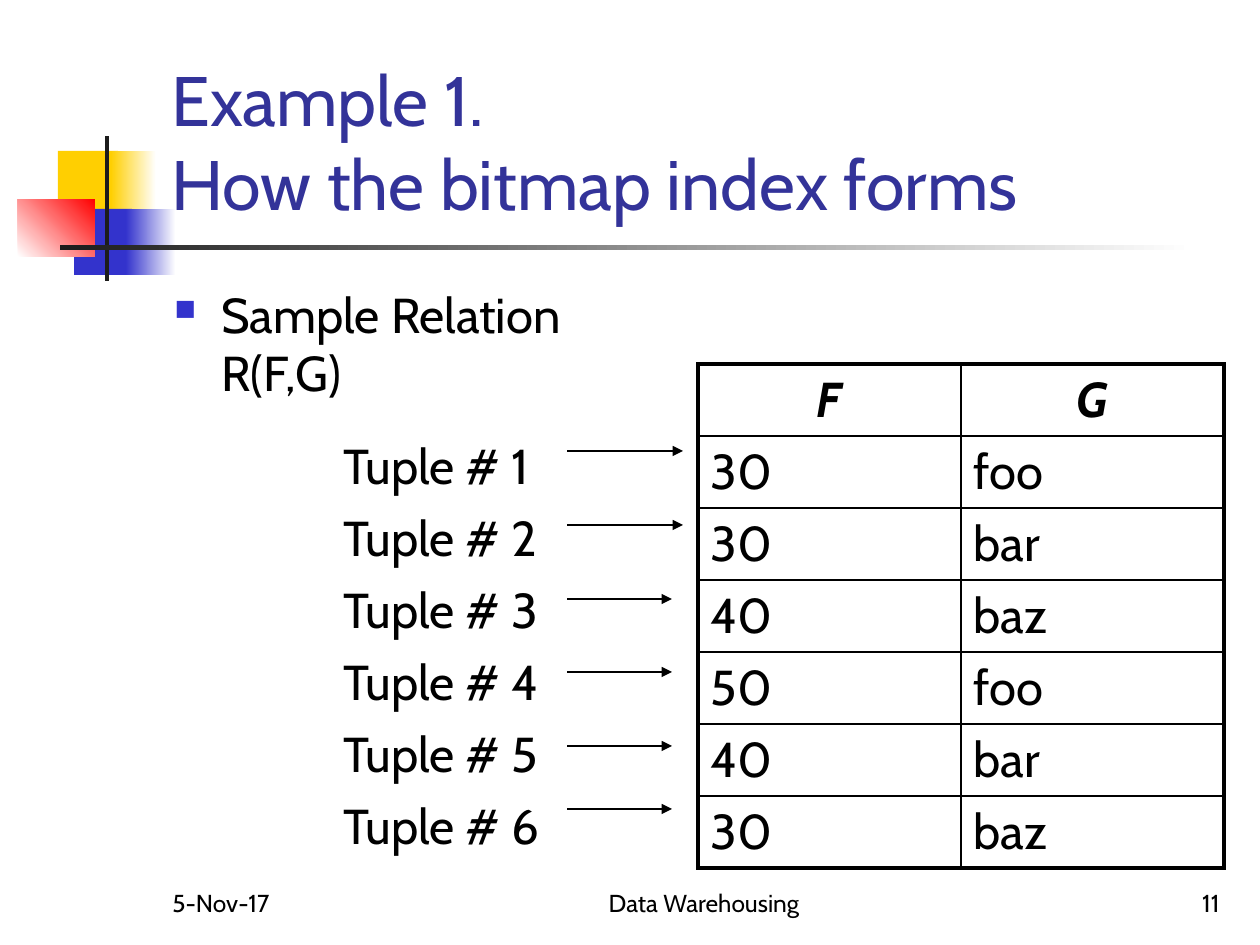
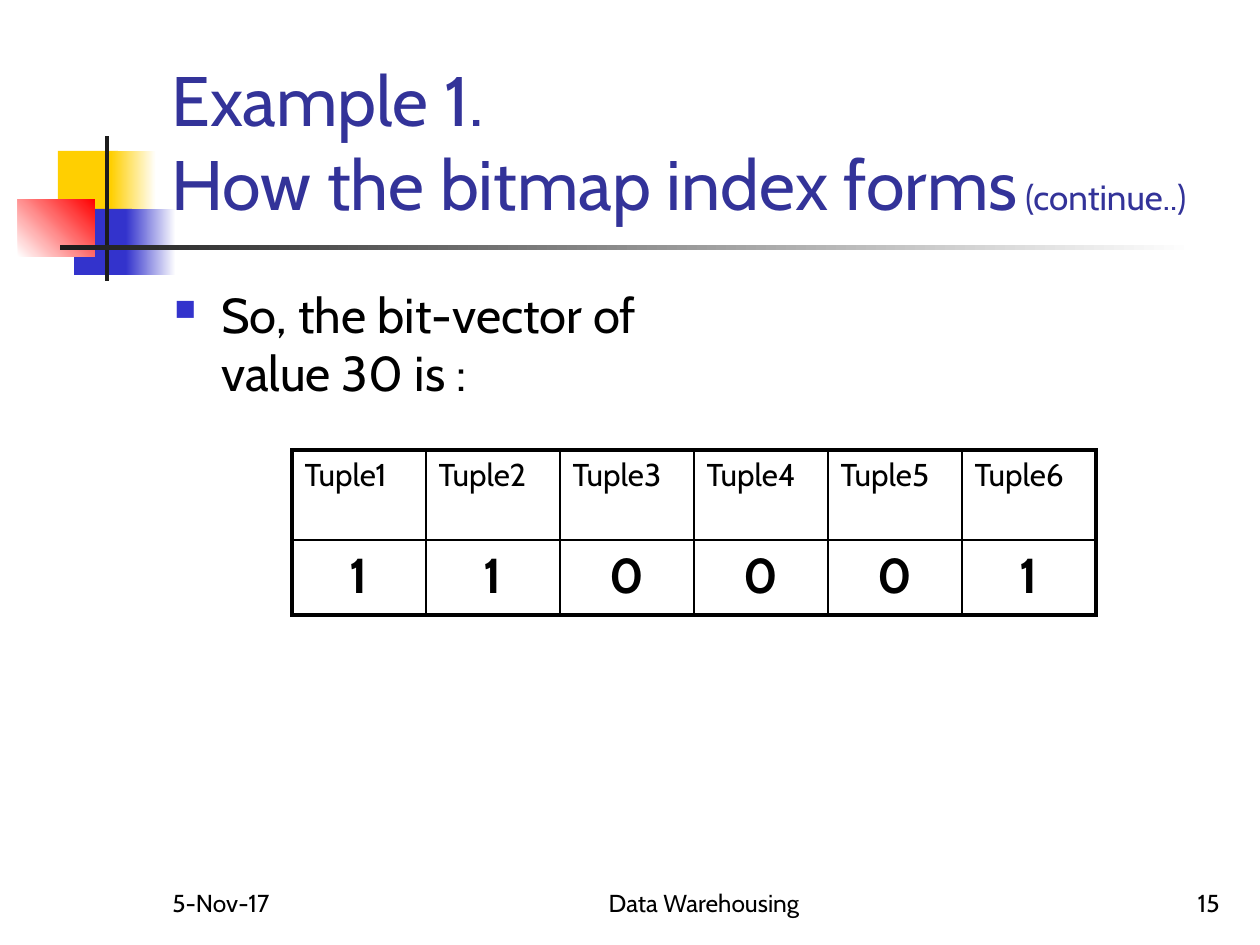
from dataclasses import dataclass

from pptx import Presentation
from pptx.dml.color import RGBColor
from pptx.enum.shapes import MSO_CONNECTOR, MSO_SHAPE
from pptx.enum.text import MSO_ANCHOR, PP_ALIGN
from pptx.oxml.ns import qn
from pptx.oxml.xmlchemy import OxmlElement
from pptx.util import Emu, Pt


@dataclass(frozen=True)
class Theme:
    font: str = "Cabin"
    ink: str = "000000"
    title: str = "333399"
    yellow: str = "FFCF01"
    blue: str = "3333CC"
    red: str = "FF0000"
    rule: str = "1C1C1C"
    paper: str = "FFFFFF"
    title_size: int = 40
    aside_size: int = 20
    body_size: int = 28
    label_size: int = 18
    footer_size: int = 14
    outer_line: float = 2.25
    inner_line: float = 1
    arrow_line: float = 0.75


@dataclass(frozen=True)
class TextStyle:
    size: int
    color: str = Theme.ink
    bold: bool = False
    italic: bool = False
    align: PP_ALIGN = PP_ALIGN.LEFT


THEME = Theme()
PX_PER_INCH = 126
SLIDE_WIDTH, SLIDE_HEIGHT = 1260, 945
TITLE_BOX = (159, 29, 1073, 202)
BODY_BOX = (162, 278, 525, 567)
FOOTER_BOX = (160, 861, 1072, 63)
EMBLEM_BOX = (18, 136, 1176, 145)

TITLE = TextStyle(THEME.title_size, THEME.title)
BODY = TextStyle(THEME.body_size)
LABEL = TextStyle(THEME.label_size)
HEADING = TextStyle(THEME.body_size, bold=True, italic=True, align=PP_ALIGN.CENTER)
BIT = TextStyle(THEME.body_size, bold=True, align=PP_ALIGN.CENTER)


def px(length):
    return Emu(round(length * 914400 / PX_PER_INCH))


def rgb(color):
    return RGBColor.from_string(color)


def add_xml(parent, tag, **attributes):
    child = OxmlElement(tag)
    for key, value in attributes.items():
        child.set(key, str(value))
    parent.append(child)
    return child


def style_paragraph(paragraph, style):
    paragraph.alignment = style.align
    font = paragraph.font
    font.name = THEME.font
    font.size = Pt(style.size)
    font.bold = style.bold
    font.italic = style.italic
    font.color.rgb = rgb(style.color)


def add_text_frame(slide, box, anchor):
    frame = slide.shapes.add_textbox(*map(px, box)).text_frame
    frame.word_wrap = True
    frame.vertical_anchor = anchor
    return frame


def draw_emblem(slide, box):
    left, top, width, height = box
    blocks = [
        ((40, 15, 60, 66), (THEME.yellow,), 0),
        ((93, 15, 45, 66), (THEME.yellow, THEME.paper), 0),
        ((56, 73, 58, 66), (THEME.blue,), 0),
        ((108, 73, 50, 66), (THEME.blue, THEME.paper), 0),
        ((0, 63, 77, 58), (THEME.paper, THEME.red), 45),
        ((87, 0, 4, height), (THEME.rule,), 0),
        ((42, 109, width - 42, 5), (THEME.rule, THEME.paper), 0),
    ]
    for (x, y, w, h), colors, angle in blocks:
        block = slide.shapes.add_shape(
            MSO_SHAPE.RECTANGLE, px(left + x), px(top + y), px(w), px(h)
        )
        block.shadow.inherit = False
        block.line.fill.background()
        if len(colors) == 1:
            block.fill.solid()
            block.fill.fore_color.rgb = rgb(colors[0])
        else:
            block.fill.gradient()
            block.fill.gradient_angle = angle
            for stop, color in zip(block.fill.gradient_stops, colors):
                stop.color.rgb = rgb(color)


def draw_footer(slide, box, number):
    left, top, width, height = box
    parts = [
        ("5-Nov-17", 0, 262, PP_ALIGN.LEFT),
        ("Data Warehousing", 344, 400, PP_ALIGN.CENTER),
        (str(number), width - 262, 262, PP_ALIGN.RIGHT),
    ]
    for text, x, part_width, align in parts:
        frame = add_text_frame(
            slide, (left + x, top, part_width, height), MSO_ANCHOR.BOTTOM
        )
        paragraph = frame.paragraphs[0]
        paragraph.text = text
        style_paragraph(paragraph, TextStyle(THEME.footer_size, align=align))


def draw_title(slide, box, aside):
    paragraph = add_text_frame(slide, box, MSO_ANCHOR.BOTTOM).paragraphs[0]
    paragraph.text = "Example 1.\vHow the bitmap index forms"
    style_paragraph(paragraph, TITLE)
    if aside:
        continuation = paragraph.add_run()
        continuation.text = f" {aside}"
        continuation.font.size = Pt(THEME.aside_size)


def draw_body(slide, box, text):
    paragraph = add_text_frame(slide, box, MSO_ANCHOR.TOP).paragraphs[0]
    paragraph.text = text
    properties = paragraph._p.get_or_add_pPr()
    properties.set("marL", str(px(47)))
    properties.set("indent", str(-px(47)))
    add_xml(add_xml(properties, "a:buClr"), "a:srgbClr", val=THEME.blue)
    add_xml(properties, "a:buSzPct", val=60000)
    add_xml(properties, "a:buChar", char="■")
    style_paragraph(paragraph, BODY)


def draw_cell_borders(cell, widths):
    properties = cell._tc.get_or_add_tcPr()
    for side, width in zip("LRTB", widths):
        border = add_xml(properties, f"a:ln{side}", w=Pt(width))
        if width:
            add_xml(add_xml(border, "a:solidFill"), "a:srgbClr", val=THEME.ink)
        else:
            add_xml(border, "a:noFill")


def draw_table(slide, box, rows, row_heights, row_styles, ruled=True):
    columns = len(rows[0])
    table = slide.shapes.add_table(len(rows), columns, *map(px, box)).table
    table.first_row = False
    table.horz_banding = False
    for column in table.columns:
        column.width = px(box[2] / columns)
    for r, (texts, height, style) in enumerate(zip(rows, row_heights, row_styles)):
        table.rows[r].height = px(height)
        for c, text in enumerate(texts):
            cell = table.cell(r, c)
            on_edge = (c == 0, c == columns - 1, r == 0, r == len(rows) - 1)
            draw_cell_borders(
                cell,
                [
                    (THEME.outer_line if edge else THEME.inner_line) if ruled else 0
                    for edge in on_edge
                ],
            )
            cell.fill.background()
            paragraph = cell.text_frame.paragraphs[0]
            paragraph.text = text
            style_paragraph(paragraph, style)


def draw_arrow(slide, left, right, y):
    arrow = slide.shapes.add_connector(
        MSO_CONNECTOR.STRAIGHT, px(left), px(y), px(right), px(y)
    )
    arrow.line.color.rgb = rgb(THEME.ink)
    arrow.line.width = Pt(THEME.arrow_line)
    properties = arrow._element.spPr
    add_xml(properties.find(qn("a:ln")), "a:tailEnd", type="triangle")
    add_xml(properties, "a:effectLst")


def draw_relation(slide, box):
    left, top, width, height = box
    records = [
        ("30", "foo"), ("30", "bar"), ("40", "baz"),
        ("50", "foo"), ("40", "bar"), ("30", "baz"),
    ]
    count = len(records)
    row_height = height / (count + 1)
    draw_table(
        slide,
        (left + width - 526, top, 526, height),
        [("F", "G"), *records],
        [row_height] * (count + 1),
        [HEADING] + [BODY] * count,
    )
    draw_table(
        slide,
        (left, top + 67, 357, row_height * count),
        [(f"Tuple # {n}",) for n in range(1, count + 1)],
        [row_height] * count,
        [BODY] * count,
        ruled=False,
    )
    arrow_offsets = [87, 161, 235, 308, 382, 445]
    for n, offset in enumerate(arrow_offsets):
        draw_arrow(slide, left + 236, left + (352 if n < 2 else 341), top + offset)


def draw_bit_vector(slide, box):
    bits = "110001"
    labels = [f"Tuple{n}" for n in range(1, len(bits) + 1)]
    label_height = 90
    draw_table(
        slide,
        box,
        [labels, bits],
        [label_height, box[3] - label_height],
        [LABEL, BIT],
    )


def add_example_slide(deck, number, text, aside=""):
    slide = deck.slides.add_slide(deck.slide_layouts[6])
    draw_emblem(slide, EMBLEM_BOX)
    draw_footer(slide, FOOTER_BOX, number)
    draw_title(slide, TITLE_BOX, aside)
    draw_body(slide, BODY_BOX, text)
    return slide


def main():
    deck = Presentation()
    deck.slide_width = px(SLIDE_WIDTH)
    deck.slide_height = px(SLIDE_HEIGHT)
    relation_slide = add_example_slide(deck, 11, "Sample Relation R(F,G)")
    draw_relation(relation_slide, (331, 364, 893, 504))
    vector_slide = add_example_slide(
        deck, 15, "So, the bit-vector of value 30 is :", "(continue..)"
    )
    draw_bit_vector(vector_slide, (292, 450, 804, 165))
    deck.save("out.pptx")


if __name__ == "__main__":
    main()
